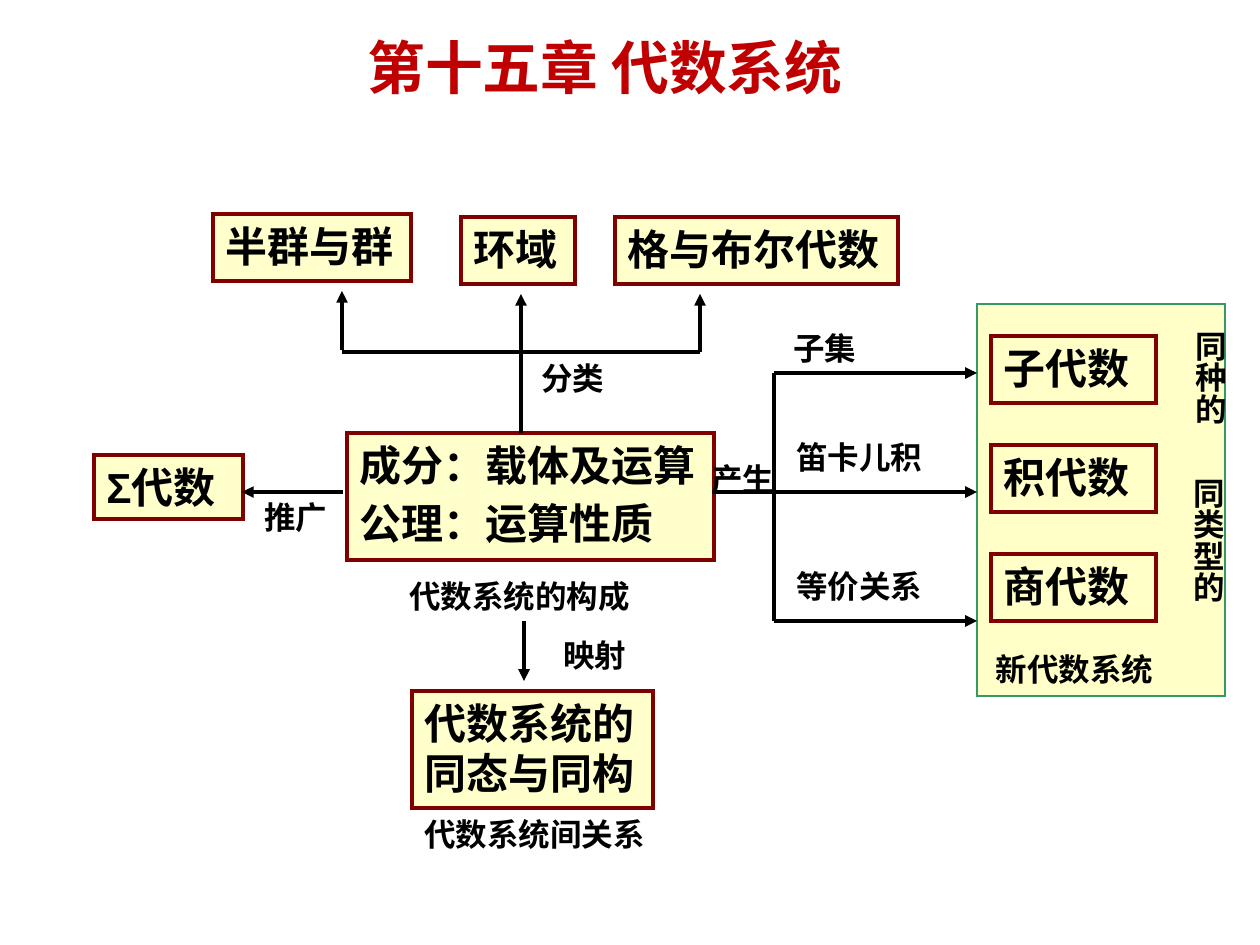
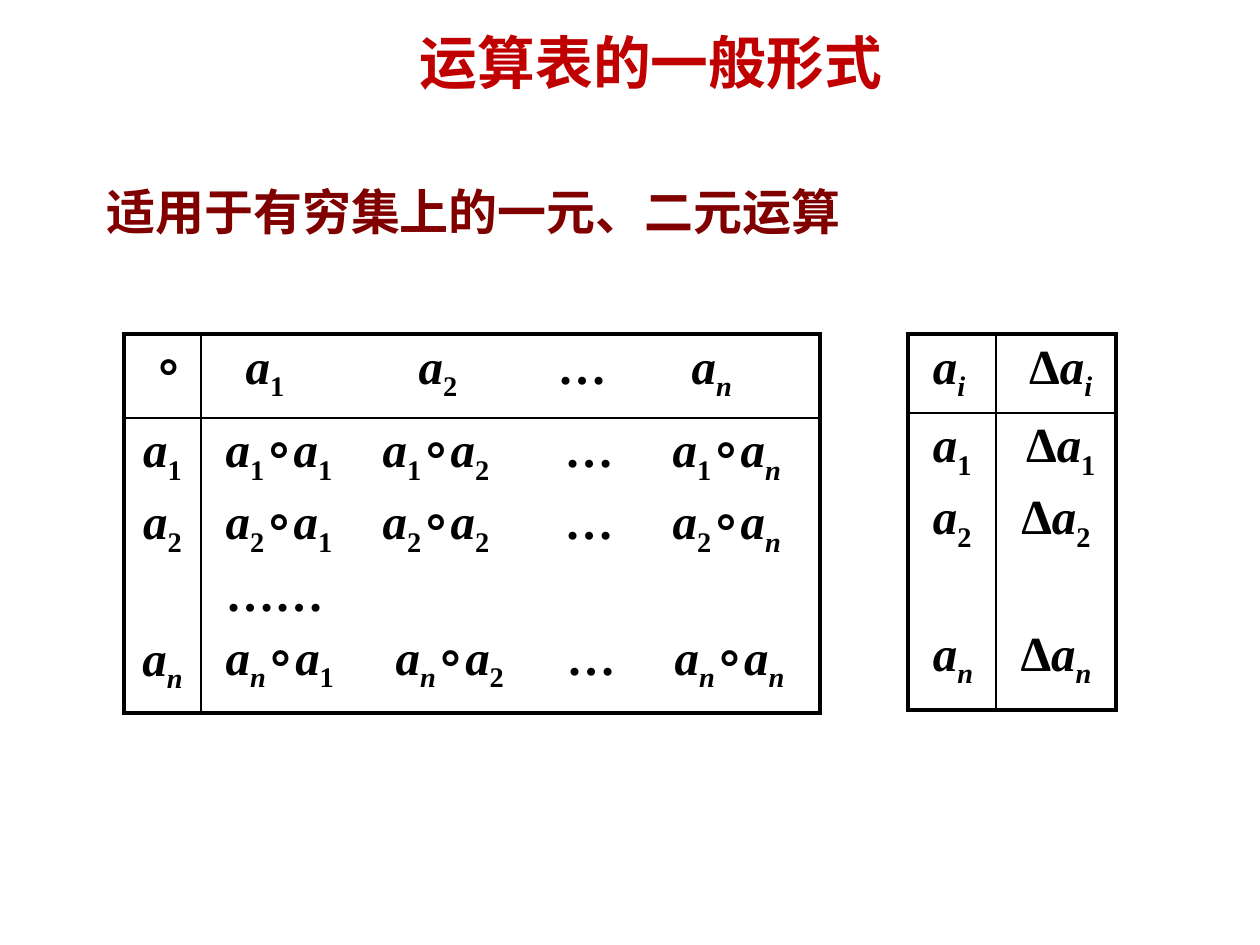
"""Builds two slides on algebraic systems: a concept map and operation tables."""
from itertools import groupby
from lxml import etree
from pptx import Presentation
from pptx import util as u
from pptx.dml import color
from pptx.enum import shapes, text
from pptx.oxml import ns

SCALE = 914400 / 126
BLACK, MAROON, RED, CREAM = "000000", "800000", "C00000", "FFFFCC"
YELLOW, GREEN = "FFFF00", "339966"
SANS, SERIF, MONO = "Arial", "Times New Roman", "Courier New"

TITLES = [("第十五章 代数系统", (25, 16, 1160, 110)),
          ("运算表的一般形式", (84, 16, 1134, 100))]
SUBTITLE = ("适用于有穷集上的一元、二元运算", (94, 175, 1012, 72))

PANEL = ("新代数系统", (977, 304, 248, 392))
BOXES = [
    (["成分：载体及运算", "公理：运算性质"], (347, 433, 367, 127)),
    (["代数系统的", "同态与同构"], (412, 691, 241, 117)),
    (["Σ代数"], (94, 455, 149, 64)),
    (["半群与群"], (213, 214, 198, 67)),
    (["环域"], (461, 217, 114, 67)),
    (["格与布尔代数"], (615, 217, 283, 67)),
]
NEW_ALGEBRAS = ["子代数", "积代数", "商代数"]
NEW_BOX, NEW_STEP = (991, 336, 165, 67), 109
LABELS = [
    ("代数系统的构成", (397, 571, 292)),
    ("代数系统间关系", (412, 809, 252)),
    ("推广", (252, 492, 95)),
    ("分类", (529, 353, 95)),
    ("映射", (551, 630, 95)),
    ("子集", (781, 323, 95)),
    ("笛卡儿积", (784, 432, 160)),
    ("等价关系", (784, 561, 160)),
]
SIDE_LABELS = [("同种的", (1172, 318, 63, 140)), ("同类型的", (1170, 465, 63, 175))]
PRODUCE = ("产生", (699, 454, 97))

BUS_Y, MID_X, BRANCH_X = 352, 521, (342, 700)
FORK_X, FORK_END, FORK_YS = 774, 977, (373, 492, 621)
LINES = [
    ((MID_X, 433), (MID_X, BUS_Y)),
    ((BRANCH_X[0], BUS_Y), (BRANCH_X[1], BUS_Y)),
    ((712, FORK_YS[1]), (FORK_X, FORK_YS[1])),
    ((FORK_X, FORK_YS[0]), (FORK_X, FORK_YS[2])),
]
ARROWS = [((343, 492), (242, 492)), ((524, 621), (524, 681)),
          ((BRANCH_X[0], 350), (BRANCH_X[0], 291))]
ARROWS += [((x, BUS_Y), (x, 294)) for x in (MID_X, BRANCH_X[1])]
ARROWS += [((FORK_X, y), (FORK_END, y)) for y in FORK_YS]

HEAD_TABS, BODY_TABS, LAST_TABS = (32, 205, 344, 478), (12, 169, 351, 459), (12, 182, 353, 461)
LINE_GAP, SKIP_GAP = 5.6, 42.4
TABLES = [
    {"at": (124, 334), "cols": (77, 619), "rows": (84, 295), "centred": 0, "cells": [
        [[(" ∘", 0, ())],
         [("\ta_1\ta_2\t…\ta_n", 0, HEAD_TABS)]],
        [[("a_1", 0, ()), ("a_2", LINE_GAP, ()), ("a_n", SKIP_GAP, ())],
         [("\ta_1∘a_1\ta_1∘a_2\t…\ta_1∘a_n", 0, BODY_TABS),
          ("\ta_2∘a_1\ta_2∘a_2\t…\ta_2∘a_n", LINE_GAP, BODY_TABS),
          ("\t……", LINE_GAP, BODY_TABS),
          ("\ta_n∘a_1\ta_n∘a_2\t…\ta_n∘a_n", LINE_GAP, LAST_TABS)]]]},
    {"at": (908, 334), "cols": (88, 120), "rows": (79, 297), "centred": 1, "cells": [
        [[(" a_i", 0, ())],
         [(" Δa_i", 0, ())]],
        [[(" a_1", 0, ()), (" a_2", LINE_GAP, ()), (" a_n", SKIP_GAP, ())],
         [(" Δa_1", 0, ()), ("Δa_2", LINE_GAP, ()), ("Δa_n", SKIP_GAP, ())]]]},
]


def px(n):
    return u.Emu(round(n * SCALE))


def rgb(value):
    return color.RGBColor.from_string(value)


def add_run(p, words, size, font=SANS, ink=BLACK):
    r = p.add_run()
    r.text = words
    r.font.size, r.font.name, r.font.bold = u.Pt(size), font, True
    r.font.color.rgb = rgb(ink)
    return r


def write(sp, lines, size, font=SANS, ink=BLACK, gap=0):
    tf = sp.text_frame
    tf.word_wrap = True
    tf.vertical_anchor = text.MSO_ANCHOR.TOP
    for i, words in enumerate(lines):
        p = tf.add_paragraph() if i else tf.paragraphs[0]
        p.alignment = text.PP_ALIGN.LEFT
        if i and gap:
            p.space_before = u.Pt(gap)
        add_run(p, words, size, font, ink)
    return tf


def add_text(s, words, at, size, font=SANS, ink=BLACK):
    sp = s.shapes.add_textbox(*map(px, at))
    return write(sp, [words], size, font, ink)


def add_title(s, words, at):
    tf = add_text(s, words, at, 33, "Calibri", RED)
    tf.vertical_anchor = text.MSO_ANCHOR.MIDDLE
    tf.paragraphs[0].alignment = text.PP_ALIGN.CENTER
    tf.paragraphs[0].line_spacing = 0.9


def add_box(s, at, fill=None, line=MAROON, width=2.25):
    sp = s.shapes.add_shape(shapes.MSO_SHAPE.RECTANGLE, *map(px, at))
    sp.shadow.inherit = False
    if fill:
        sp.fill.solid()
        sp.fill.fore_color.rgb = rgb(fill)
    else:
        sp.fill.background()
    sp.line.color.rgb = rgb(line)
    sp.line.width = u.Pt(width)
    etree.SubElement(sp.line._get_or_add_ln(), ns.qn("a:miter"), lim="800000")
    return sp


def add_line(s, start, end, arrow=False):
    c = s.shapes.add_connector(shapes.MSO_CONNECTOR.STRAIGHT, *map(px, start + end))
    c.line.color.rgb = rgb(BLACK)
    c.line.width = u.Pt(2.25)
    if arrow:
        etree.SubElement(c.line._get_or_add_ln(), ns.qn("a:tailEnd"), type="triangle")
    etree.SubElement(c._element.spPr, ns.qn("a:effectLst"))


def styled_chars(formula):
    sub = False
    for ch in formula:
        if ch == "_":
            sub = True
            continue
        yield ch, (sub, ch.isascii() and ch.isalpha(), MONO if ch == "∘" else SERIF)
        sub = False


def write_formula(p, formula, gap, tabs):
    if gap:
        p.space_before = u.Pt(gap)
    if tabs:
        tab_list = etree.SubElement(p._p.get_or_add_pPr(), ns.qn("a:tabLst"))
        for x in tabs:
            etree.SubElement(tab_list, ns.qn("a:tab"), pos=str(px(x)), algn="l")
    for (sub, italic, font), chars in groupby(styled_chars(formula), lambda c: c[1]):
        r = add_run(p, "".join(ch for ch, _ in chars), 28, font)
        r.font.italic = italic
        if sub:
            r.font._element.set("baseline", "-25000")


def add_borders(cell, widths):
    tc_pr = cell._tc.get_or_add_tcPr()
    for i, (side, width) in enumerate(zip("LRTB", widths)):
        ln = etree.Element(ns.qn(f"a:ln{side}"), w=str(u.Pt(width)))
        fill = etree.SubElement(ln, ns.qn("a:solidFill"))
        etree.SubElement(fill, ns.qn("a:srgbClr"), val=BLACK)
        tc_pr.insert(i, ln)


def add_formula_table(s, spec):
    cols, rows = spec["cols"], spec["rows"]
    at = spec["at"] + (sum(cols), sum(rows))
    table = s.shapes.add_table(len(rows), len(cols), *map(px, at)).table
    table.first_row = table.horz_banding = False
    for col, width in zip(table.columns, cols):
        col.width = px(width)
    for i, height in enumerate(rows):
        table.rows[i].height = px(height)
        for j, lines in enumerate(spec["cells"][i]):
            cell = table.cell(i, j)
            cell.fill.background()
            outer = (j == 0, j == len(cols) - 1, i == 0, i == len(rows) - 1)
            add_borders(cell, [2.25 if edge else 1 for edge in outer])
            for k, line in enumerate(lines):
                p = cell.text_frame.add_paragraph() if k else cell.text_frame.paragraphs[0]
                centred = j == spec["centred"]
                p.alignment = text.PP_ALIGN.CENTER if centred else text.PP_ALIGN.LEFT
                write_formula(p, *line)


def build_map(s):
    words, at = PANEL
    panel = add_box(s, at, YELLOW, GREEN, 0.75)
    tint = panel._element.spPr.find(".//" + ns.qn("a:srgbClr"))
    etree.SubElement(tint, ns.qn("a:alpha"), val="22000")
    tf = write(panel, [words], 18)
    tf.vertical_anchor = text.MSO_ANCHOR.BOTTOM
    tf.margin_left, tf.margin_bottom = px(19), px(8)
    for words, at in SIDE_LABELS:
        tf = add_text(s, words, at, 18)
        tf._txBody.bodyPr.set("vert", "eaVert")
    add_title(s, *TITLES[0])
    for lines, at in BOXES:
        write(add_box(s, at, CREAM), lines, 24, gap=4.8 if at == BOXES[0][1] else 0)
    x, y, w, h = NEW_BOX
    for i, words in enumerate(NEW_ALGEBRAS):
        write(add_box(s, (x, y + i * NEW_STEP, w, h)), [words], 24)
    for words, at in LABELS:
        add_text(s, words, at + (50,), 18)
    for start, end in LINES:
        add_line(s, start, end)
    for start, end in ARROWS:
        add_line(s, start, end, arrow=True)
    words, at = PRODUCE
    add_text(s, words, at + (50,), 18, "Noto Sans CJK SC")


def build_tables(s):
    for spec in TABLES:
        add_formula_table(s, spec)
    add_title(s, *TITLES[1])
    add_text(s, *SUBTITLE, 28, ink=MAROON)


prs = Presentation()
prs.slide_width, prs.slide_height = px(1260), px(945)
for build in (build_map, build_tables):
    build(prs.slides.add_slide(prs.slide_layouts[6]))
prs.save("out.pptx")
